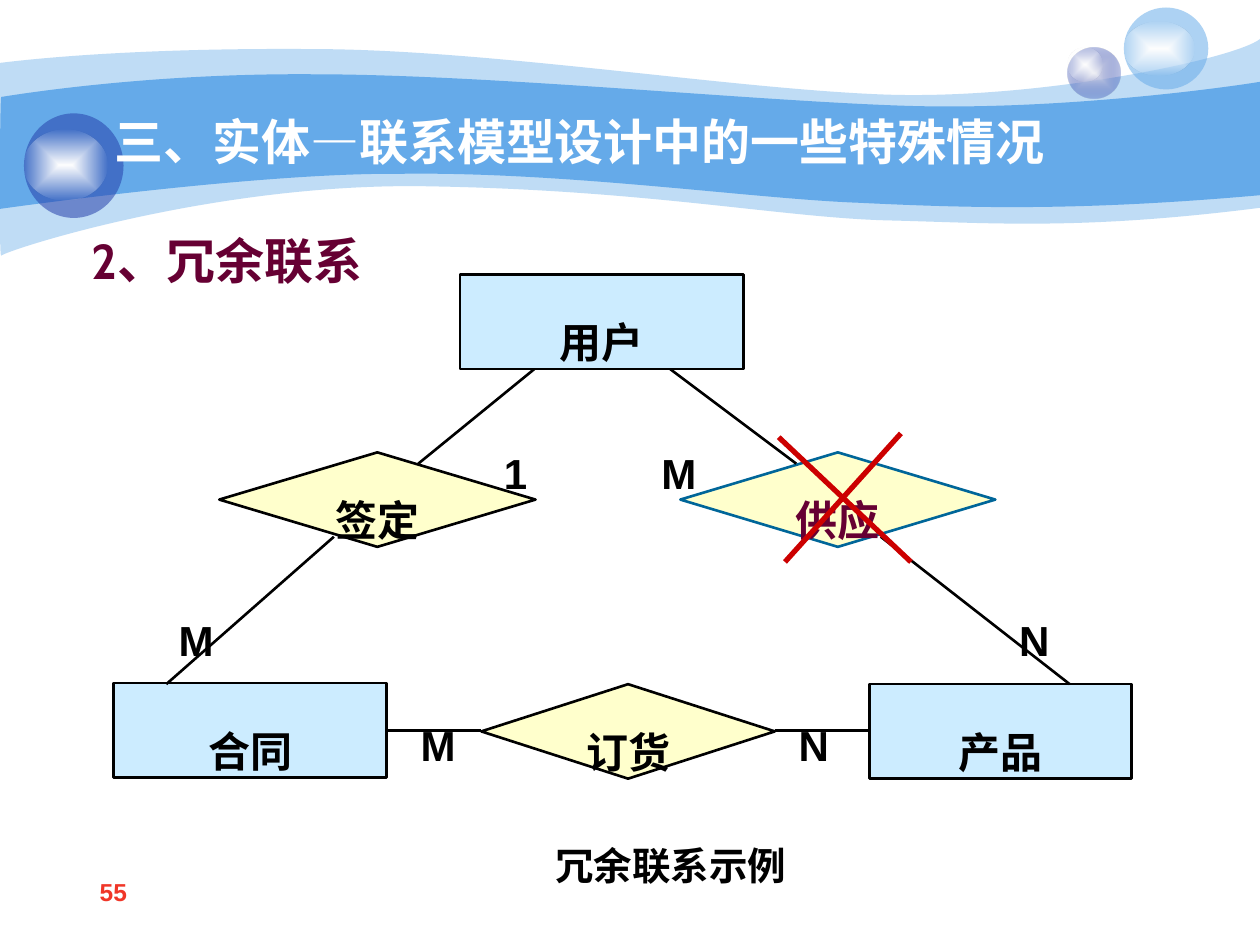
from lxml import etree
from pptx import Presentation
from pptx.dml.color import RGBColor
from pptx.enum.shapes import MSO_CONNECTOR, MSO_SHAPE
from pptx.enum.text import MSO_ANCHOR, MSO_AUTO_SIZE, PP_ALIGN
from pptx.oxml import parse_xml
from pptx.oxml.ns import nsdecls, qn
from pptx.util import Inches, Pt

RECT, DIAMOND, OVAL = MSO_SHAPE.RECTANGLE, MSO_SHAPE.FLOWCHART_DECISION, MSO_SHAPE.OVAL
STRAIGHT = MSO_CONNECTOR.STRAIGHT
TOP, MIDDLE, BOTTOM = MSO_ANCHOR.TOP, MSO_ANCHOR.MIDDLE, MSO_ANCHOR.BOTTOM
LEFT, CENTER = PP_ALIGN.LEFT, PP_ALIGN.CENTER
NO_FIT = MSO_AUTO_SIZE.NONE

COLORS = {
    "band": "65AAE9", "navy": "233DA9", "pale": "E1E2ED", "white": "FFFFFF",
    "black": "000000", "entity": "CCECFF", "relation": "FFFFCC",
    "teal": "006699", "wine": "660033", "cross": "CC0000", "number": "F03628",
}


def rgb(name):
    return RGBColor.from_string(COLORS[name])


def write(tf, text, size=24, color="black", font="Arial", bold=True, align=LEFT,
          anchor=TOP, spacing=1.8, before=0, wrap=True):
    """Fill a text frame; text is a string or a list of (string, font) runs."""
    tf.auto_size = NO_FIT
    tf.word_wrap = wrap
    tf.vertical_anchor = anchor
    p = tf.paragraphs[0]
    p.alignment, p.line_spacing, p.space_before = align, spacing, Pt(before)
    for part, face in [(text, font)] if isinstance(text, str) else text:
        r = p.add_run()
        r.text = part
        r.font.name, r.font.size, r.font.bold = face, Pt(size), bold
        r.font.color.rgb = rgb(color)


def bend(lines):
    """Turn each three line segments into one cubic curve."""
    for i in range(0, len(lines), 3):
        curve = etree.Element(qn("a:cubicBezTo"))
        lines[i].addprevious(curve)
        for seg in lines[i:i + 3]:
            curve.append(seg[0])
            seg.getparent().remove(seg)


class Painter:
    def __init__(self, slide):
        self.s = slide

    def style(self, sp, fill, alpha=100, line=None):
        sp.shadow.inherit = False
        sp.fill.solid()
        sp.fill.fore_color.rgb = rgb(fill)
        if alpha < 100:
            clr = sp.element.spPr.find(qn("a:solidFill"))[0]
            etree.SubElement(clr, qn("a:alpha"), val=str(alpha * 1000))
        if line:
            sp.line.color.rgb = rgb(line)
            sp.line.width = Pt(1.5)
        else:
            sp.line.fill.background()
        return sp

    def shape(self, kind, box, fill, **look):
        sp = self.s.shapes.add_shape(kind, *map(Inches, box))
        return self.style(sp, fill, **look)

    def glow(self, box, inner="white", outer="white", alpha=0):
        """Oval that fades from its centre outwards."""
        sp = self.shape(OVAL, box, inner)
        solid = sp.element.spPr.find(qn("a:solidFill"))
        solid.getparent().replace(solid, parse_xml(
            f'<a:gradFill {nsdecls("a")} rotWithShape="1"><a:gsLst>'
            f'<a:gs pos="0"><a:srgbClr val="{COLORS[inner]}"/></a:gs>'
            f'<a:gs pos="100000"><a:srgbClr val="{COLORS[outer]}">'
            f'<a:alpha val="{alpha * 1000}"/></a:srgbClr></a:gs></a:gsLst>'
            '<a:path path="shape"><a:fillToRect l="50000" t="50000" r="50000" b="50000"/>'
            '</a:path></a:gradFill>'))
        return sp

    def wave(self, start, upper, corner, lower, alpha=100):
        """Band with a curved upper edge, a straight right side and a curved lower edge."""
        points = [(Inches(x), Inches(y)) for x, y in upper + [corner] + lower]
        fb = self.s.shapes.build_freeform(Inches(start[0]), Inches(start[1]), scale=1.0)
        fb.add_line_segments(points, close=True)
        sp = self.style(fb.convert_to_shape(), "band", alpha)
        lines = list(sp.element.iter(qn("a:lnTo")))
        side = len(upper)
        bend(lines[:side])
        bend(lines[side + 1:side + 1 + len(lower)])

    def node(self, kind, box, text, line="black", color="black"):
        sp = self.shape(kind, box, "entity" if kind == RECT else "relation", line=line)
        write(sp.text_frame, text, color=color, align=CENTER, anchor=MIDDLE,
              before=1, wrap=False)

    def line(self, x1, y1, x2, y2, color="black", width=1.5):
        cx = self.s.shapes.add_connector(STRAIGHT, *map(Inches, (x1, y1, x2, y2)))
        cx.line.color.rgb = rgb(color)
        cx.line.width = Pt(width)
        etree.SubElement(cx.element.spPr, qn("a:effectLst"))

    def text(self, box, text, **fmt):
        tb = self.s.shapes.add_textbox(*map(Inches, box))
        write(tb.text_frame, text, **fmt)

    def title(self, box, runs, above, **fmt):
        sp = self.s.shapes.title
        sp.left, sp.top, sp.width, sp.height = map(Inches, box)
        write(sp.text_frame, runs, **fmt)
        above.element.addnext(sp.element)


def main():
    prs = Presentation()
    prs.slide_width, prs.slide_height = Inches(10), Inches(7.5)
    d = Painter(prs.slides.add_slide(prs.slide_layouts[5]))

    # Wavy header bands
    d.wave((0, 0.5),
           [(0.24, 0.47), (1.07, 0.38), (2.47, 0.39), (3.86, 0.39), (5.75, 0.7),
            (6.99, 0.75), (8.22, 0.8), (9.8, 0.47), (10, 0.31)],
           (10, 1.65),
           [(8.58, 1.83), (7.87, 1.77), (7.05, 1.75), (6.22, 1.73), (5.15, 1.51),
            (3.43, 1.48), (1.72, 1.44), (0.04, 1.99), (0.01, 2.03), (-0.01, 2.08),
            (0, 0.75), (0, 0.5)],
           alpha=41)
    d.wave((0.01, 0.77),
           [(0.02, 0.77), (1.1, 0.58), (2.48, 0.59), (3.86, 0.59), (5.95, 0.8),
            (7.18, 0.84), (8.41, 0.88), (9.76, 0.69), (10, 0.65)],
           (10, 1.55),
           [(8.53, 1.68), (7.65, 1.65), (6.82, 1.61), (5.99, 1.58), (4.47, 1.36),
            (3.17, 1.38), (2.03, 1.37), (-0.02, 1.66), (-0.01, 1.66), (0, 1.66),
            (0, 0.77), (0.01, 0.77)])

    # Bubbles
    d.glow((8.47, 0.38, 0.42, 0.4), "pale", "navy", 31)
    d.glow((8.47, 0.38, 0.28, 0.27))
    d.shape(OVAL, (8.92, 0.06, 0.67, 0.65), "band", alpha=53)
    d.glow((8.92, 0.17, 0.56, 0.43))
    d.shape(OVAL, (0.19, 0.9, 0.79, 0.83), "navy", alpha=53)
    last_bubble = d.glow((0.19, 1.03, 0.66, 0.56))

    # Title and subtitle
    d.title((0.81, 0.67, 9.02, 0.73),
            [("三、实体", "Cabin"), ("—", "Arial"), ("联系模型设计中的一些特殊情况", "Cabin")],
            last_bubble, size=28, color="white", anchor=BOTTOM, before=1)
    d.text((0.63, 1.69, 8.11, 0.71), "2、冗余联系", size=28, color="wine",
           font="Cabin", spacing=1.2, before=1)

    # Entities and relationships
    h = 0.75
    d.node(RECT, (3.65, 2.18, 2.25, h), "用户")
    d.node(RECT, (0.9, 5.42, 2.17, h), "合同")
    d.node(RECT, (6.9, 5.43, 2.08, h), "产品")
    d.node(DIAMOND, (3.82, 5.43, 2.33, h), "订货")
    d.node(DIAMOND, (1.74, 3.59, 2.51, h), "签定")
    d.node(DIAMOND, (5.4, 3.59, 2.5, h), "供应", line="teal", color="wine")

    # Links
    for ends in [(4.24, 2.93, 3.32, 3.68), (2.65, 4.26, 1.32, 5.43),
                 (5.32, 2.93, 6.32, 3.68), (6.99, 4.26, 8.49, 5.43),
                 (3.82, 5.8, 3.07, 5.8), (6.15, 5.8, 6.9, 5.8)]:
        d.line(*ends)

    # Cardinalities
    for x, y, w, label in [(3.9, 3.18, 0.83, "1"), (1.32, 4.51, 0.75, "M"),
                           (3.24, 5.34, 0.67, "M"), (6.24, 5.34, 0.67, "N"),
                           (5.15, 3.18, 0.67, "M"), (7.99, 4.51, 0.92, "N")]:
        d.text((x, y, w, 0.5), label, before=3)

    # Caption, cross over the redundant link, page number
    d.text((4.31, 6.34, 3.33, 0.67), "冗余联系示例", size=22, before=3)
    d.line(7.15, 3.44, 6.23, 4.46, "cross", 3)
    d.line(6.18, 3.47, 7.23, 4.46, "cross", 3)
    d.text((0.23, 6.91, 1.34, 0.32), "55", size=14, color="number",
           align=CENTER, spacing=1, before=13)

    prs.save("out.pptx")


if __name__ == "__main__":
    main()
